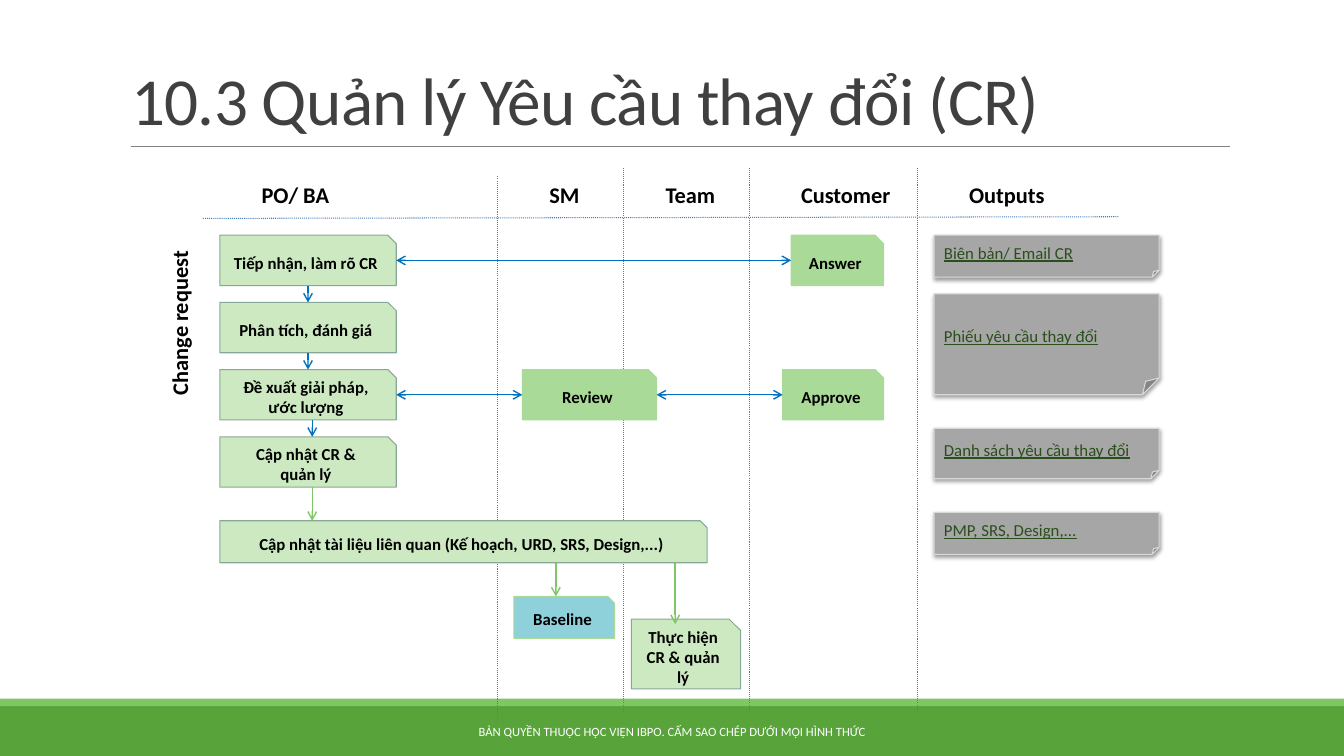
from lxml.etree import SubElement
from pptx import Presentation
from pptx.dml.color import RGBColor
from pptx.enum.dml import MSO_LINE
from pptx.enum.shapes import MSO_CONNECTOR, MSO_SHAPE
from pptx.enum.text import MSO_ANCHOR, MSO_AUTO_SIZE, PP_ALIGN
from pptx.oxml.ns import qn
from pptx.util import Inches, Pt


def color(hex_value):
    """Turn a hex string into a colour."""
    return RGBColor.from_string(hex_value)


def apply(target, values):
    """Set each attribute named in values on the target."""
    for name, value in values.items():
        setattr(target, name, value)


class FlowSlide:
    """Hold the style, the grid and the current slide."""

    FONT = "Calibri"
    UNIT = 1 / 12
    LEFT = 2.18
    INK = "000000"
    BLUE = "0070C0"
    GREEN = "7FC764"
    STEP = ("CCE9C1", "87A896")
    REPLY = ("AADA98", "AADA98")
    BASELINE = ("8ED1DA", "AADA98")
    NOTE = ("A6A6A6", "D9D9D9")

    def __init__(self, presentation):
        """Add a title-only slide."""
        self.slide = presentation.slides.add_slide(presentation.slide_layouts[5])
        self.width = presentation.slide_width
        self.height = presentation.slide_height

    def point(self, column, row):
        """Give the position of a grid point."""
        return Inches(self.LEFT + column * self.UNIT), Inches(row * self.UNIT)

    def size(self, columns, rows):
        """Give the size of a span of columns and rows."""
        return Inches(columns * self.UNIT), Inches(rows * self.UNIT)

    def set_text(self, shape, text, font, hex_value, align, **frame):
        """Fill a shape with formatted text."""
        text_frame = shape.text_frame
        text_frame.text = text
        apply(text_frame, {"word_wrap": True, **frame})
        for paragraph in text_frame.paragraphs:
            paragraph.alignment = align
            for run in paragraph.runs:
                apply(run.font, {"name": self.FONT, **font})
                run.font.color.rgb = color(hex_value)

    def title(self, text):
        """Place the title and the rule under it."""
        shape = self.slide.shapes.title
        apply(shape, {"left": Inches(1.2), "top": Inches(0.31),
                      "width": Inches(11), "height": Inches(1.12)})
        self.set_text(shape, text, {"size": Pt(48)}, "404040", PP_ALIGN.LEFT,
                      vertical_anchor=MSO_ANCHOR.BOTTOM, auto_size=MSO_AUTO_SIZE.NONE)
        paragraph = shape.text_frame.paragraphs[0]
        paragraph.line_spacing = 0.85
        paragraph.runs[0].font._element.set("spc", "-50")
        self.line((-10.56, 17.4), (120.24, 17.4), "808080", 0.5)

    def band(self, top, height, fill):
        """Draw a full-width band from shares of the slide height."""
        self.shape(MSO_SHAPE.RECTANGLE, (0, int(top * self.height)),
                   (self.width, int(height * self.height)), fill)

    def shape(self, kind, position, size, fill, outline=None):
        """Draw a filled preset shape."""
        shape = self.slide.shapes.add_shape(kind, *position, *size)
        shape.shadow.inherit = False
        shape.fill.solid()
        shape.fill.fore_color.rgb = color(fill)
        if outline:
            shape.line.color.rgb = color(outline)
            shape.line.width = Pt(0.75)
        else:
            shape.line.fill.background()
        return shape

    def card(self, text, column, row, columns, rows, style):
        """Draw a process step."""
        shape = self.shape(MSO_SHAPE.SNIP_1_RECTANGLE, self.point(column, row),
                           self.size(columns, rows), *style)
        self.set_text(shape, text, {"size": Pt(12), "bold": True}, self.INK,
                      PP_ALIGN.CENTER, vertical_anchor=MSO_ANCHOR.MIDDLE)

    def note(self, text, row, rows):
        """Draw an output document with a soft shadow."""
        shape = self.shape(MSO_SHAPE.FOLDED_CORNER, self.point(85, row),
                           self.size(26.8, rows), *self.NOTE)
        effects = shape._element.spPr.find(qn("a:effectLst"))
        shadow = SubElement(effects, qn("a:outerShdw"), blurRad=str(Pt(3.1)),
                            dist=str(Pt(1.6)), dir="5400000", rotWithShape="0")
        shade = SubElement(shadow, qn("a:srgbClr"), val=self.INK)
        SubElement(shade, qn("a:alpha"), val="38000")
        self.set_text(shape, text, {"size": Pt(12), "underline": True}, "2A4F1C",
                      PP_ALIGN.LEFT, vertical_anchor=MSO_ANCHOR.MIDDLE)

    def label(self, text, column, row, columns, align=PP_ALIGN.CENTER, rotation=0):
        """Add a lane heading."""
        box = self.slide.shapes.add_textbox(*self.point(column, row),
                                            *self.size(columns, 4.44))
        box.rotation = rotation
        self.set_text(box, text, {"size": Pt(16), "bold": True}, self.INK, align,
                      word_wrap=not rotation, auto_size=MSO_AUTO_SIZE.SHAPE_TO_FIT_TEXT)

    def footer(self, text):
        """Add the centred copyright line."""
        box = self.slide.shapes.add_textbox(Inches(4.03), Inches(7.06),
                                            Inches(5.27), Inches(0.4))
        self.set_text(box, text, {"size": Pt(9)}, "FFFFFF", PP_ALIGN.CENTER,
                      vertical_anchor=MSO_ANCHOR.MIDDLE)

    def line(self, start, end, hex_value, width, dash=None, heads=()):
        """Draw a line between two grid points."""
        connector = self.slide.shapes.add_connector(
            MSO_CONNECTOR.STRAIGHT, *self.point(*start), *self.point(*end))
        connector.line.color.rgb = color(hex_value)
        apply(connector.line, {"width": Pt(width), "dash_style": dash})
        properties = connector._element.spPr
        for head in heads:
            SubElement(properties.find(qn("a:ln")), qn(f"a:{head}"), type="arrow")
        SubElement(properties, qn("a:effectLst"))

    def divider(self, start, end):
        """Draw a dotted lane border."""
        self.line(start, end, "4A7EBB", 0.75, MSO_LINE.ROUND_DOT)

    def arrow(self, start, end, hex_value, heads=("tailEnd",)):
        """Draw an arrow between two grid points."""
        self.line(start, end, hex_value, 1, heads=heads)


def main():
    """Build the change request slide."""
    presentation = Presentation()
    apply(presentation, {"slide_width": Inches(13.33), "slide_height": Inches(7.5)})
    flow = FlowSlide(presentation)
    flow.band(14 / 15, 1 / 15, "58A43B")
    flow.band(0.924, 0.01, flow.GREEN)
    flow.title("10.3 Quản lý Yêu cầu thay đổi (CR)")

    for text, column, columns in (("PO/ BA", -3, 24), ("SM", 33, 16),
                                  ("Team", 48, 16), ("Customer", 66, 17)):
        flow.label(text, column, 21, columns)
    flow.label("Outputs", 88, 21, 18, PP_ALIGN.LEFT)
    flow.label("Change request", -14.8, 36, 20, PP_ALIGN.LEFT, 270)

    for column, top in ((33, 21), (48, 20), (63, 20), (83, 20)):
        flow.divider((column, top), (column, top + 65))
    flow.divider((-2, 26), (107, 25.8))

    for text, row, rows in (("Biên bản/ Email CR", 28, 5),
                            ("Phiếu yêu cầu thay đổi", 35, 12),
                            ("Danh sách yêu cầu thay đổi", 51, 6),
                            ("PMP, SRS, Design,...", 61, 5)):
        flow.note(text, row, rows)

    steps = ("Tiếp nhận, làm rõ CR", "Phân tích, đánh giá",
             "Đề xuất giải pháp, ước lượng", "Cập nhật CR &\nquản lý")
    for index, text in enumerate(steps):
        flow.card(text, 0, 28 + 8 * index, 21, 6, flow.STEP)
    for text, column, row, columns, rows, style in (
            ("Answer", 68, 28, 11, 6, flow.REPLY),
            ("Review", 36, 44, 16, 6, flow.REPLY),
            ("Approve", 67, 44, 12, 6, flow.REPLY),
            ("Cập nhật tài liệu liên quan (Kế hoạch, URD, SRS, Design,...)",
             0, 62, 58, 5, flow.STEP),
            ("Baseline", 35, 71, 12, 5, flow.BASELINE),
            ("Thực hiện CR & quản lý", 49, 73.7, 13, 8.3, flow.STEP)):
        flow.card(text, column, row, columns, rows, style)

    for column, row in ((10.5, 34), (10.5, 42), (11, 50)):
        flow.arrow((column, row), (column, row + 2), flow.BLUE)
    for start, end, row in ((21, 68, 31), (21, 36, 47), (52, 67, 47)):
        flow.arrow((start, row), (end, row), flow.BLUE, ("headEnd", "tailEnd"))
    for column, top, bottom in ((11, 58, 62), (40, 67, 71), (54.2, 67, 74.3)):
        flow.arrow((column, top), (column, bottom), flow.GREEN)

    flow.footer("BẢN QUYỀN THUỘC HỌC VIỆN IBPO. CẤM SAO CHÉP DƯỚI MỌI HÌNH THỨC")
    presentation.save("out.pptx")


if __name__ == "__main__":
    main()
